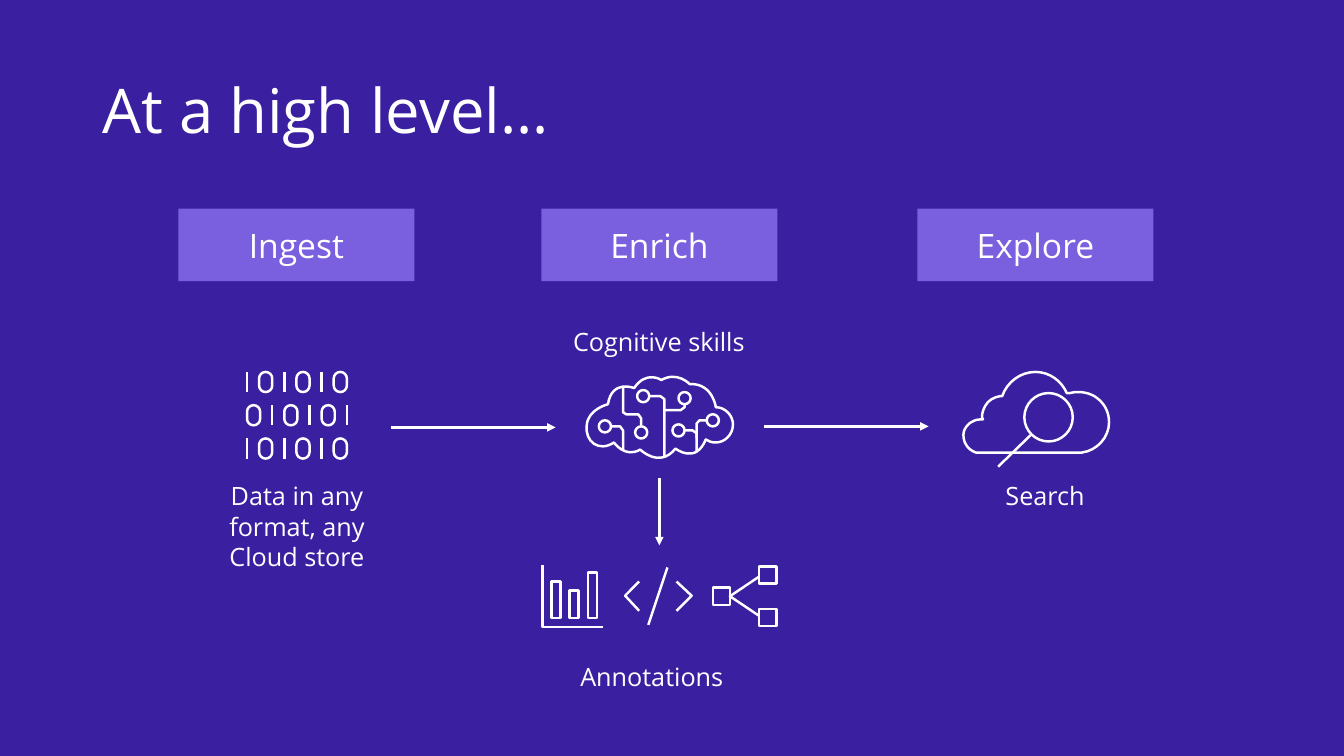
from lxml import etree
from pptx import Presentation
from pptx.dml.color import RGBColor
from pptx.enum.shapes import MSO_CONNECTOR as Connector, MSO_SHAPE as Shape
from pptx.enum.text import MSO_ANCHOR as Anchor, MSO_AUTO_SIZE as AutoSize, PP_ALIGN as Align
from pptx.oxml.ns import qn
from pptx.util import Inches, Pt

COLORS = {"page": "3A20A0", "header": "7A60DF", "ink": "FFFFFF"}
FONT = "Open Sans"
CELL = Inches(0.01)
COLUMNS, ROWS = 1333, 750
HEADER_SIZE = (234, 72)
ARROW_LENGTH = 163
FINE = 100


def color(name):
    """Return a palette colour."""
    return RGBColor.from_string(COLORS[name])


def cells(*counts):
    """Turn grid cells into slide lengths."""
    return [count * CELL for count in counts]


def shift(box, x, y):
    """Return the point x columns and y rows into a box."""
    return box[0] + x, box[1] + y


def write(shape, lines, size, align=Align.CENTER, anchor=Anchor.TOP, inset=10,
          fit=AutoSize.NONE, spacing=1.0):
    """Fill a shape with one paragraph per line."""
    frame = shape.text_frame
    layout = {"word_wrap": True, "auto_size": fit, "vertical_anchor": anchor,
              "margin_left": inset * CELL, "margin_right": inset * CELL}
    for name, value in layout.items():
        setattr(frame, name, value)
    for index, line in enumerate(lines):
        para = frame.add_paragraph() if index else frame.paragraphs[0]
        para.alignment, para.line_spacing = align, spacing
        span = para.add_run()
        span.text = line
        for name, value in {"name": FONT, "size": Pt(size)}.items():
            setattr(span.font, name, value)
        span.font.color.rgb = color("ink")


def add_label(page, corner, width, *lines):
    """Add a centred label under or over an icon."""
    height = 9 + 31 * len(lines)
    box = page.shapes.add_textbox(*cells(*corner, width, height))
    write(box, lines, 18, fit=AutoSize.SHAPE_TO_FIT_TEXT)


def add_header(page, corner, text):
    """Add the heading bar of a stage."""
    bar = page.shapes.add_shape(Shape.RECTANGLE, *cells(*corner, *HEADER_SIZE))
    bar.fill.solid()
    bar.fill.fore_color.rgb = color("header")
    bar.line.fill.background()
    bar.shadow.inherit = False
    write(bar, [text], 24, anchor=Anchor.MIDDLE, inset=20)


def add_arrow(page, start, across=0, down=0):
    """Add an arrow that runs across or down from its start."""
    arrow = page.shapes.add_connector(Connector.STRAIGHT, *cells(*start, *shift(start, across, down)))
    arrow.line.color.rgb = color("ink")
    arrow.line.width = Pt(2)
    etree.SubElement(arrow.line._get_or_add_ln(), qn("a:tailEnd"), type="triangle")
    etree.SubElement(arrow._element.spPr, qn("a:effectLst"))


def bend(icon, segments):
    """Turn each segment of three points into a Bezier curve."""
    outline = next(icon._element.iter(qn("a:path")))
    steps = iter(outline.findall(qn("a:lnTo")))
    for segment in segments:
        first, *others = [next(steps) for _ in segment]
        if others:
            first.tag = qn("a:cubicBezTo")
        for step in others:
            first.append(step[0])
            outline.remove(step)


def add_icon(page, corner, strokes):
    """Draw strokes, each a start and its segments, in cells from the corner."""
    builder = None
    for start, *segments in strokes:
        x, y = start[0] * FINE, start[1] * FINE
        if builder:
            builder.move_to(x, y)
        else:
            builder = page.shapes.build_freeform(x, y, scale=CELL / FINE)
        points = [(a * FINE, b * FINE) for segment in segments for a, b in segment]
        builder.add_line_segments(points, close=False)
    icon = builder.convert_to_shape(*cells(*corner))
    bend(icon, [segment for stroke in strokes for segment in stroke[1:]])
    icon.fill.background()
    icon.line.color.rgb = color("ink")
    icon.line.width = Pt(1.75)
    icon.shadow.inherit = False


def straight(start, *points):
    """Return a stroke of straight segments."""
    return [start, *((point,) for point in points)]


def rectangle(x, y, width, height):
    """Return a closed rectangle."""
    return straight((x, y), (x + width, y), (x + width, y + height), (x, y + height), (x, y))


def ring(x, y, radius, side=0):
    """Return a circle, or an upright capsule with straight sides."""
    half, pull = side / 2, 0.55 * radius
    stroke = [(x + radius, y + half)]
    for sign in (1, -1):
        near, far, flat = sign * radius, sign * pull, sign * half
        end = y + flat + near
        stroke += [((x + near, y + flat + far), (x + far, end), (x, end)),
                   ((x - far, end), (x - near, y + flat + far), (x - near, y + flat))]
        if side:
            stroke.append(((x - near, y - flat),))
    return stroke


def binary_strokes():
    """Return three rows of ones and zeros."""
    strokes = []
    for row, digits in enumerate(("101010", "010101", "101010")):
        x, y = 0, row * 33
        for digit in digits:
            one = digit == "1"
            strokes.append(straight((x, y), (x, y + 20)) if one else ring(x + 6.5, y + 10, 6.5, 7))
            x += 12 if one else 25
    return strokes


def brain_strokes():
    """Return a brain with circuit traces."""
    outline = [
        (120, 69), ((123, 71), (126, 72), (130, 72)), ((139, 72), (147, 64), (147, 54)),
        ((147, 45), (139, 37), (130, 37)), ((130, 37), (127, 13), (104, 14)),
        ((104, 14), (92, 1), (76, 10)), ((76, 10), (61, 0), (49, 18)),
        ((49, 18), (27, 9), (23, 34)), ((23, 34), (3, 39), (2, 55)),
        ((0, 71), (14, 82), (29, 72)), ((29, 72), (40, 88), (55, 79)),
        ((55, 79), (74, 98), (90, 78)), ((90, 78), (110, 94), (120, 69))]
    nodes = [(127, 50), (93, 60), (58, 26), (99, 28), (56, 62), (20, 56)]
    traces = [[(38, 80), (38, 60), (35, 56), (26, 56)],
              [(79, 87), (79, 29), (75, 26), (64, 26)],
              [(79, 40), (95, 40), (99, 37), (99, 34)],
              [(38, 16), (38, 42), (41, 44), (53, 44), (56, 48), (56, 56)],
              [(121, 50), (114, 50), (111, 53), (111, 68)],
              [(111, 81), (111, 63), (107, 60), (99, 60)]]
    return [outline, *(ring(x, y, 6) for x, y in nodes), *(straight(*trace) for trace in traces)]


def cloud_strokes():
    """Return a cloud outline."""
    return [[
        (73, 0), ((87, 0), (99, 9), (104, 21)), ((107, 21),), ((110, 20), (113, 20), (116, 20)),
        ((133, 20), (146, 33), (146, 50)), ((146, 65), (134, 78), (119, 80)), ((19, 80),),
        ((17, 80), (15, 80), (14, 80)), ((5, 77), (0, 68), (2, 59)), ((5, 51), (12, 47), (19, 47)),
        ((21, 47),), ((20, 45),), ((20, 41), (21, 38), (23, 34)), ((26, 28), (32, 25), (38, 24)),
        ((40, 24),), ((45, 10), (58, 0), (73, 0))]]


def draw_title(page, box, text):
    """Place the slide title in its box."""
    title = page.shapes.add_textbox(*cells(*box))
    write(title, [text], 44, Align.LEFT, Anchor.MIDDLE, spacing=0.9)


def draw_ingest(page, box):
    """Place the stage that takes data in."""
    add_header(page, box, "Ingest")
    add_label(page, shift(box, 40, 265), 155, "Data in any", "format, any", "Cloud store")
    add_icon(page, shift(box, 68, 162), binary_strokes())
    add_arrow(page, shift(box, 211, 217), across=ARROW_LENGTH)


def draw_enrich(page, box):
    """Place the stage that adds annotations."""
    add_header(page, box, "Enrich")
    add_label(page, shift(box, 27, 444), 165, "Annotations")
    add_label(page, shift(box, 10, 112), 213, "Cognitive skills")
    add_icon(page, shift(box, 43, 160), brain_strokes())
    add_arrow(page, shift(box, 117, 267), down=67)
    bars = [rectangle(9 + 18 * index, 52 - height, 9, height)
            for index, height in enumerate((36, 27, 45))]
    add_icon(page, shift(box, 1, 354), [*bars, straight((0, 0), (0, 61), (60, 61))])
    add_icon(page, shift(box, 83, 356), [straight((14, 43), (0, 28), (14, 14)),
                                         straight((51, 43), (66, 28), (51, 14)),
                                         straight((23, 57), (42, 0))])
    squares = [rectangle(x, y, 17, 17) for x, y in ((46, 0), (46, 42), (0, 21))]
    add_icon(page, shift(box, 170, 355), [*squares, straight((46, 10), (17, 29.5), (46, 49))])
    add_arrow(page, shift(box, 221, 216), across=ARROW_LENGTH)


def draw_explore(page, box):
    """Place the stage that searches the results."""
    add_header(page, box, "Explore")
    add_label(page, shift(box, 71, 265), 111, "Search")
    add_icon(page, shift(box, 44, 162), cloud_strokes())
    add_icon(page, shift(box, 80, 183), [ring(50, 24, 24), straight((0, 73), (33, 41))])


def main():
    """Build and save the deck."""
    deck = Presentation()
    deck.slide_width, deck.slide_height = cells(COLUMNS, ROWS)
    page = deck.slides.add_slide(deck.slide_layouts[6])
    page.background.fill.solid()
    page.background.fill.fore_color.rgb = color("page")
    draw_title(page, (92, 40, 1150, 145), "At a high level…")
    for draw_stage, left in ((draw_ingest, 177), (draw_enrich, 537), (draw_explore, 910)):
        draw_stage(page, (left, 207))
    deck.save("out.pptx")


if __name__ == "__main__":
    main()
